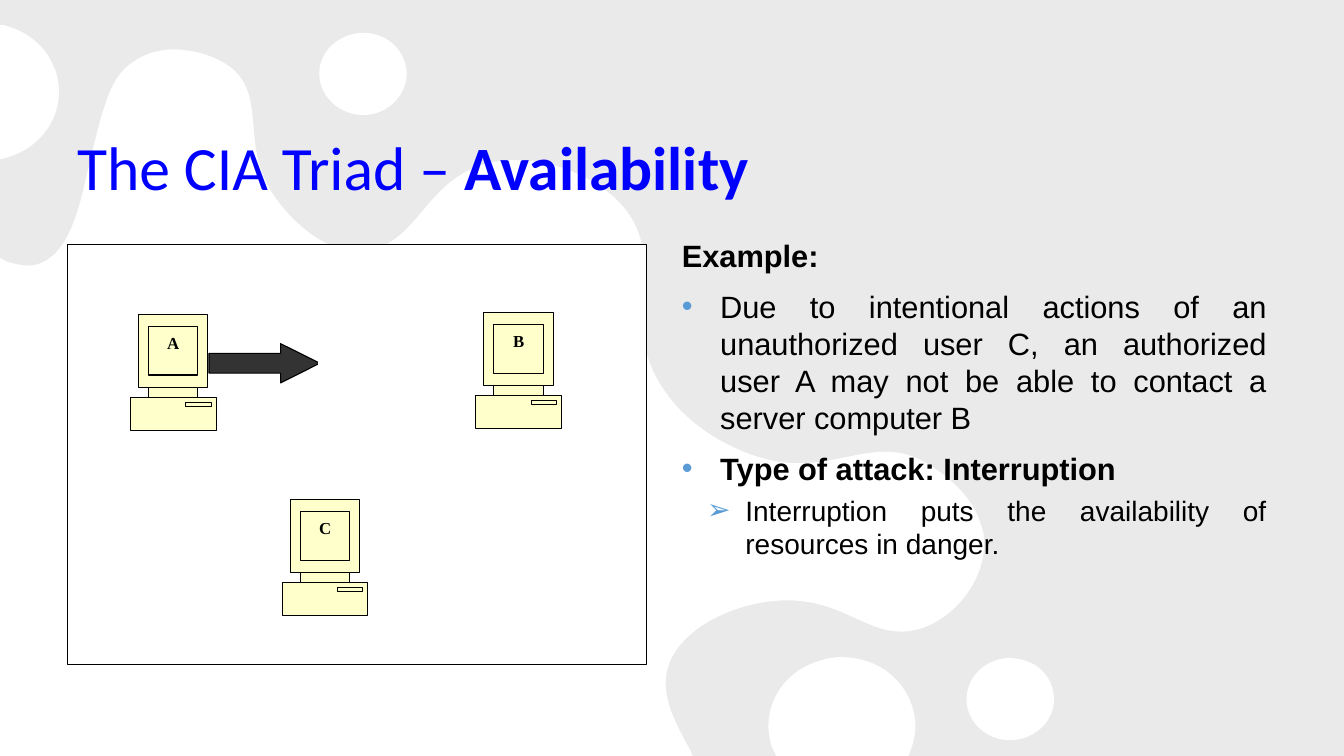
from copy import deepcopy
from pptx import Presentation
from pptx.dml.color import RGBColor
from pptx.enum.shapes import MSO_CONNECTOR as CONN, MSO_SHAPE as SHAPE
from pptx.enum.text import MSO_ANCHOR as ANCHOR, PP_ALIGN as ALIGN
from pptx.oxml.ns import qn
from pptx.oxml.xmlchemy import OxmlElement as Element
from pptx.util import Inches, Pt

COLORS = {"paper": "F2F1F1", "veil": "AEAEAE", "white": "FFFFFF", "black": "000000",
          "title": "0000FF", "bullet": "5B9BD5", "computer": "FFFFCC", "arrow": "333333"}

# The slide is a grid of 20 columns and 20 rows
WIDTH, HEIGHT = Inches(13.33), Inches(7.5)
COL, ROW = WIDTH / 20, HEIGHT / 20
UNITS = 100  # freeform units per inch

# Backdrop outlines in inches: a pair is a corner, six numbers are a Bezier curve
BLOB = [(1.7, .49), (1.91, .49, 2.13, .55, 2.29, .67), (2.67, .98, 2.35, 1.47, 2.76, 2),
        (2.81, 2.07, 3.16, 2.52, 3.59, 2.49), (4.15, 2.45, 4.2, 1.78, 4.84, 1.62),
        (5.29, 1.51, 5.88, 1.7, 6.18, 2.05), (6.65, 2.6, 6.1, 3.2, 6.6, 3.89),
        (6.94, 4.38, 7.53, 4.54, 7.58, 4.55), (8.27, 4.73, 8.66, 4.29, 9.18, 4.59),
        (9.28, 4.65, 9.63, 4.86, 9.73, 5.21), (9.75, 5.26, 9.76, 5.31, 9.76, 5.36),
        (9.78, 5.74, 9.48, 6.13, 9.12, 6.24), (8.63, 6.38, 8.39, 5.91, 7.71, 5.96),
        (7.36, 5.98, 6.84, 6.17, 6.66, 6.53), (6.51, 6.84, 6.68, 7.14, 6.85, 7.45),
        (6.87, 7.5), (0, 7.5), (0, 2.56), (.08, 2.6), (.19, 2.63, .29, 2.65, .38, 2.62),
        (.67, 2.53, .78, 2.09, .85, 1.78), (1.04, .97, 1.1, .74, 1.36, .59),
        (1.45, .53, 1.57, .5, 1.7, .49)]
BOTTOM_DROP = [(8.35, 6.52), (8.58, 6.52, 8.8, 6.62, 8.94, 6.8),
               (8.98, 6.86, 9.02, 6.92, 9.04, 6.99), (9.09, 7.12, 9.09, 7.26, 9.05, 7.39),
               (9.01, 7.5), (7.7, 7.5), (7.66, 7.42), (7.53, 7.06, 7.74, 6.67, 8.12, 6.56),
               (8.2, 6.53, 8.27, 6.52, 8.35, 6.52)]
LEFT_DROP = [(0, .25), (.04, .25), (.07, .26), (.22, .3, .35, .39, .44, .5),
             (.49, .56, .52, .63, .55, .7), (.67, 1.06, .47, 1.44, .08, 1.56), (0, 1.58)]
RIGHT_DROP = [(9.97, 6.53), (10.12, 6.52, 10.27, 6.57, 10.36, 6.68),
              (10.41, 6.74, 10.44, 6.81, 10.45, 6.89), (10.48, 7.11, 10.31, 7.31, 10.07, 7.34),
              (9.84, 7.37, 9.62, 7.21, 9.59, 6.99), (9.56, 6.76, 9.73, 6.56, 9.97, 6.53)]
TOP_DROP = [(3.55, .33), (3.7, .31, 3.85, .37, 3.94, .48), (3.99, .54, 4.02, .61, 4.03, .68),
            (4.06, .9, 3.89, 1.11, 3.65, 1.14), (3.41, 1.16, 3.2, 1, 3.17, .78),
            (3.14, .56, 3.31, .36, 3.55, .33)]
BACKDROP = [RIGHT_DROP, BOTTOM_DROP, BLOB, TOP_DROP, LEFT_DROP]

# Parts of a computer as left, top, width, height in freeform units
COMPUTER = {"case": (8, 0, 69, 72), "neck": (18, 72, 49, 10), "base": (0, 82, 85, 33),
            "screen": (18, 12, 49, 48), "slot": (55, 87, 25, 4)}


def rgb(name):
    return RGBColor.from_string(COLORS[name])


def grid(col, row, cols, rows):
    return [round(v) for v in (col * COL, row * ROW, cols * COL, rows * ROW)]


def paint(s, fill, line=None):
    s.shadow.inherit = False
    s.fill.solid()
    s.fill.fore_color.rgb = rgb(fill)
    if line:
        s.line.color.rgb = rgb(line)
        s.line.width = Pt(.75)
    else:
        s.line.fill.background()
    return s


def shape(shapes, kind, cell, fill, line=None):
    return paint(shapes.add_shape(kind, *grid(*cell)), fill, line)


def text_box(shapes, cell, anchor=ANCHOR.TOP):
    tf = shapes.add_textbox(*grid(*cell)).text_frame
    tf.word_wrap = True
    tf.vertical_anchor = anchor
    return tf


def write(p, text, size, font="Arial", color="black", bold=False):
    r = p.add_run()
    r.text = text
    r.font.size, r.font.name, r.font.bold = Pt(size), font, bold
    r.font.color.rgb = rgb(color)


def child(parent, tag, **attributes):
    el = Element(tag)
    for name, value in attributes.items():
        el.set(name, str(value))
    parent.append(el)
    return el


def add_bullet(p, char, margin):
    pPr = p._p.get_or_add_pPr()
    pPr.set("marL", str(Inches(margin)))
    pPr.set("indent", str(Inches(-.38)))
    child(child(pPr, "a:buClr"), "a:srgbClr", val=COLORS["bullet"])
    child(pPr, "a:buFont", typeface="Arial")
    child(pPr, "a:buChar", char=char)


def add_backdrop(shapes):
    veil = shape(shapes, SHAPE.RECTANGLE, (0, 0, 20, 20), "veil")
    child(veil._element.spPr.find(".//" + qn("a:srgbClr")), "a:alpha", val=10000)
    fb = shapes.build_freeform(*LEFT_DROP[0], scale=Inches(1) / UNITS)
    for outline in BACKDROP:
        ends = [(x * UNITS, y * UNITS) for *_, x, y in outline]
        fb.move_to(*ends[0])
        fb.add_line_segments(ends[1:], close=True)
    s = paint(fb.convert_to_shape(), "white")
    # Bend the straight segments that stand for curves
    path = s._element.find(".//" + qn("a:path"))
    steps = [el for el in path if el.tag != qn("a:close")]
    if len(steps) > sum(map(len, BACKDROP)):
        path.remove(steps.pop(0))
    left, top = s.left / Inches(1), s.top / Inches(1)
    for step, part in zip(steps, sum(BACKDROP, [])):
        if len(part) == 6:
            curve = Element("a:cubicBezTo")
            for x, y in zip(part[::2], part[1::2]):
                child(curve, "a:pt", x=round((x - left) * UNITS), y=round((y - top) * UNITS))
            path.replace(step, curve)


def add_computer(shapes, label, col, row):
    fb = shapes.build_freeform(scale=Inches(1) / UNITS)
    for x, y, w, h in COMPUTER.values():
        fb.move_to(x, y)
        fb.add_line_segments([(x + w, y), (x + w, y + h), (x, y + h)], close=True)
    s = paint(fb.convert_to_shape(round(col * COL), round(row * ROW)), "computer", "black")
    # One path per part, so that overlapping parts stay filled
    joined = s._element.find(".//" + qn("a:path"))
    steps = list(joined)
    for step in steps:
        joined.remove(step)
    for step in steps:
        if step.tag == qn("a:moveTo"):
            part = deepcopy(joined)
            joined.getparent().append(part)
        part.append(step)
    joined.getparent().remove(joined)
    tf = s.text_frame
    tf.vertical_anchor = ANCHOR.TOP
    tf.margin_top = Inches(.18)
    tf.paragraphs[0].alignment = ALIGN.CENTER
    write(tf.paragraphs[0], label, 12, font="Times New Roman", bold=True)


def add_diagram(shapes):
    shape(shapes, SHAPE.RECTANGLE, (1, 6.48, 8.62, 11.11), "white", "black")
    for label, col, row in (("A", 1.94, 8.32), ("B", 7.08, 8.27), ("C", 4.2, 13.22)):
        add_computer(shapes, label, col, row)
    arrow = shape(shapes, SHAPE.RIGHT_ARROW, (3.11, 9.09, 1.65, 1.04), "arrow", "black")
    arrow.adjustments[0], arrow.adjustments[1] = .5, 1
    # Barrier that cuts off the tip of the arrow
    x, top, _, height = grid(4.76, 8.13, 0, 3.26)
    barrier = shapes.add_connector(CONN.STRAIGHT, x, top, x, top + height)
    barrier.line.color.rgb = rgb("white")
    barrier.line.width = Pt(3)
    child(barrier._element.spPr, "a:effectLst")


def add_title(shapes):
    tf = text_box(shapes, (1, 1.63, 18, 3.87), ANCHOR.BOTTOM)
    for text, bold in (("The CIA Triad – ", False), ("Availability", True)):
        write(tf.paragraphs[0], text, 44, font="Calibri", color="title", bold=bold)


def add_example(shapes):
    tf = text_box(shapes, (10, 6.13, 9, 11.76))
    items = [("Example:", 22, True, None, 0, 0),
             ("Due to intentional actions of an unauthorized user C, an authorized user A "
              "may not be able to contact a server computer B", 22, False, "•", .38, 10),
             ("Type of attack: Interruption", 22, True, "•", .38, 10),
             ("Interruption puts the availability of resources in danger.",
              20, False, "➢", .63, 5)]
    for i, (text, size, bold, bullet, margin, before) in enumerate(items):
        p = tf.add_paragraph() if i else tf.paragraphs[0]
        if bullet:
            add_bullet(p, bullet, margin)
        p.level = 1 if bullet == "➢" else 0
        p.alignment = ALIGN.JUSTIFY
        if before:
            p.space_before = Pt(before)
        write(p, text, size, bold=bold)


def main():
    prs = Presentation()
    prs.slide_width, prs.slide_height = WIDTH, HEIGHT
    slide = prs.slides.add_slide(prs.slide_layouts[6])
    slide.background.fill.solid()
    slide.background.fill.fore_color.rgb = rgb("paper")
    for add_part in (add_backdrop, add_title, add_example, add_diagram):
        add_part(slide.shapes)
    prs.save("out.pptx")


if __name__ == "__main__":
    main()
